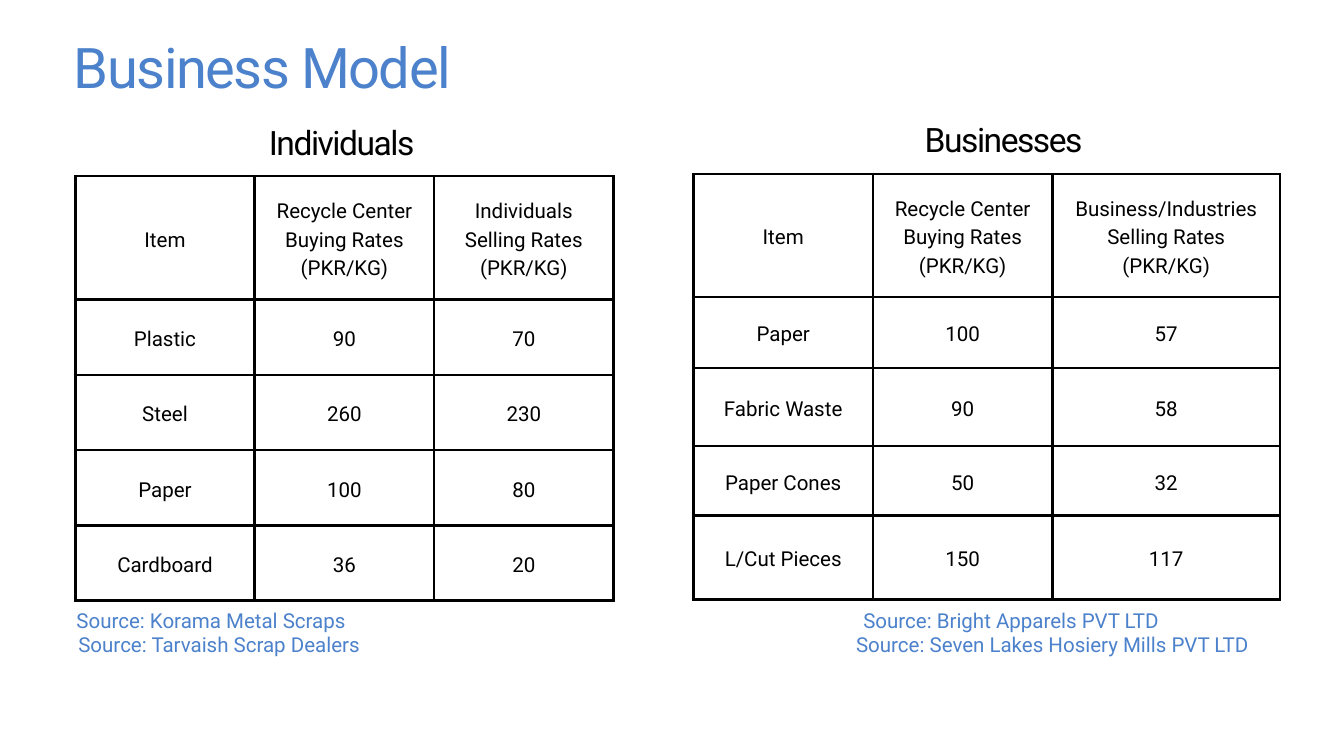
import pptx
import pptx.dml.color
import pptx.enum.text
import pptx.oxml
import pptx.oxml.ns
import pptx.util
from pptx.util import Inches, Pt

THEME = {
    "font": "Roboto",
    "blue": "4C81CB",
    "black": "000000",
    "title_size": 60,
    "heading_size": 36,
    "body_size": 22,
    "heading_leading": 62.4,
    "body_leading": 30.8,
    "tight": -1.6,
    "border": 3,
    "cell_margin": 0.21,
}
LEFT = pptx.enum.text.PP_ALIGN.LEFT
CENTER = pptx.enum.text.PP_ALIGN.CENTER

STYLES = {
    "title": {"size": THEME["title_size"], "color": THEME["blue"], "align": LEFT,
              "leading": THEME["heading_leading"], "tracking": THEME["tight"]},
    "heading": {"size": THEME["heading_size"], "color": THEME["black"], "align": LEFT,
                "leading": THEME["heading_leading"], "tracking": THEME["tight"]},
    "source": {"size": THEME["body_size"], "color": THEME["blue"], "align": CENTER,
               "leading": THEME["body_leading"], "tracking": 0},
    "cell": {"size": THEME["body_size"], "color": THEME["black"], "align": CENTER,
             "leading": THEME["body_leading"], "tracking": 0},
}

UNIT = "(PKR/KG)"
RATE_TABLES = [
    {
        "left": 1.12, "top": 2.62,
        "columns": [2.67, 2.67, 2.67],
        "heights": [1.84, 1.12, 1.12, 1.12, 1.12],
        "rows": [
            ["Item", f"Recycle Center Buying Rates\n{UNIT}", f"Individuals Selling Rates\n{UNIT}"],
            ["Plastic", "90", "70"],
            ["Steel", "260", "230"],
            ["Paper", "100", "80"],
            ["Cardboard", "36", "20"],
        ],
    },
    {
        "left": 10.32, "top": 2.59,
        "columns": [2.67, 2.67, 3.39],
        "heights": [1.83, 1.06, 1.16, 1.03, 1.25],
        "rows": [
            ["Item", f"Recycle Center Buying Rates\n{UNIT}",
             f"Business/Industries Selling Rates\n{UNIT}"],
            ["Paper", "100", "57"],
            ["Fabric Waste", "90", "58"],
            ["Paper Cones", "50", "32"],
            ["L/Cut Pieces", "150", "117"],
        ],
    },
]

# text, style, (left, top, width, height)
LABELS = [
    ("Business Model", "title", (1.1, 0.62, 11.52, 0.9)),
    ("Source: Bright Apparels PVT LTD", "source", (11.37, 8.98, 7.35, 0.41)),
    ("Source: Seven Lakes Hosiery Mills PVT LTD", "source", (12.03, 9.34, 7.26, 0.41)),
    ("Source: Korama Metal Scraps", "source", (-1.03, 8.98, 8.34, 0.41)),
    ("Source: Tarvaish Scrap Dealers", "source", (-0.9, 9.34, 8.32, 0.41)),
    ("Businesses", "heading", (13.76, 1.5, 2.58, 0.82)),
    ("Individuals", "heading", (4, 1.54, 2.58, 0.82)),
]


def set_attributes(target, values):
    for name, value in values.items():
        setattr(target, name, value)


def write_text(frame, text, style):
    """Fill a text frame, one paragraph for each line of text."""
    for index, line in enumerate(text.split("\n")):
        paragraph = frame.add_paragraph() if index else frame.paragraphs[0]
        set_attributes(paragraph, {"alignment": style["align"],
                                   "line_spacing": Pt(style["leading"])})
        run = paragraph.add_run()
        run.text = line
        set_attributes(run.font, {"name": THEME["font"], "size": Pt(style["size"])})
        run.font.color.rgb = pptx.dml.color.RGBColor.from_string(style["color"])
        if style["tracking"]:
            run.font._element.set("spc", str(round(style["tracking"] * 100)))


def add_label(slide, text, style, box):
    frame = slide.shapes.add_textbox(*map(Inches, box)).text_frame
    set_attributes(frame, {
        "word_wrap": True,
        "auto_size": pptx.enum.text.MSO_AUTO_SIZE.SHAPE_TO_FIT_TEXT,
        "margin_left": 0, "margin_top": 0, "margin_right": 0, "margin_bottom": 0,
    })
    write_text(frame, text, style)


def add_borders(cell):
    properties = cell._tc.get_or_add_tcPr()
    for side in ("lnL", "lnR", "lnT", "lnB"):
        properties.append(pptx.oxml.parse_xml(
            f'<a:{side} {pptx.oxml.ns.nsdecls("a")} w="{Pt(THEME["border"])}">'
            f'<a:solidFill><a:srgbClr val="{THEME["black"]}"/></a:solidFill>'
            f'</a:{side}>'))


def add_rate_table(slide, rates):
    columns, heights, rows = rates["columns"], rates["heights"], rates["rows"]
    table = slide.shapes.add_table(
        len(rows), len(columns), Inches(rates["left"]), Inches(rates["top"]),
        Inches(sum(columns)), Inches(sum(heights))).table
    set_attributes(table, {"first_row": False, "horz_banding": False})
    for column, width in zip(table.columns, columns):
        column.width = Inches(width)
    margin = Inches(THEME["cell_margin"])
    for row, height, values in zip(table.rows, heights, rows):
        row.height = Inches(height)
        for cell, value in zip(row.cells, values):
            set_attributes(cell, {
                "vertical_anchor": pptx.enum.text.MSO_ANCHOR.MIDDLE,
                "margin_left": margin, "margin_top": margin,
                "margin_right": margin, "margin_bottom": margin,
            })
            add_borders(cell)
            cell.fill.background()
            write_text(cell.text_frame, value, STYLES["cell"])


def main():
    deck = pptx.Presentation()
    set_attributes(deck, {"slide_width": Inches(20), "slide_height": Inches(11.25)})
    slide = deck.slides.add_slide(deck.slide_layouts[6])
    for rates in RATE_TABLES:
        add_rate_table(slide, rates)
    for text, style, box in LABELS:
        add_label(slide, text, STYLES[style], box)
    deck.save("out.pptx")


if __name__ == "__main__":
    main()
